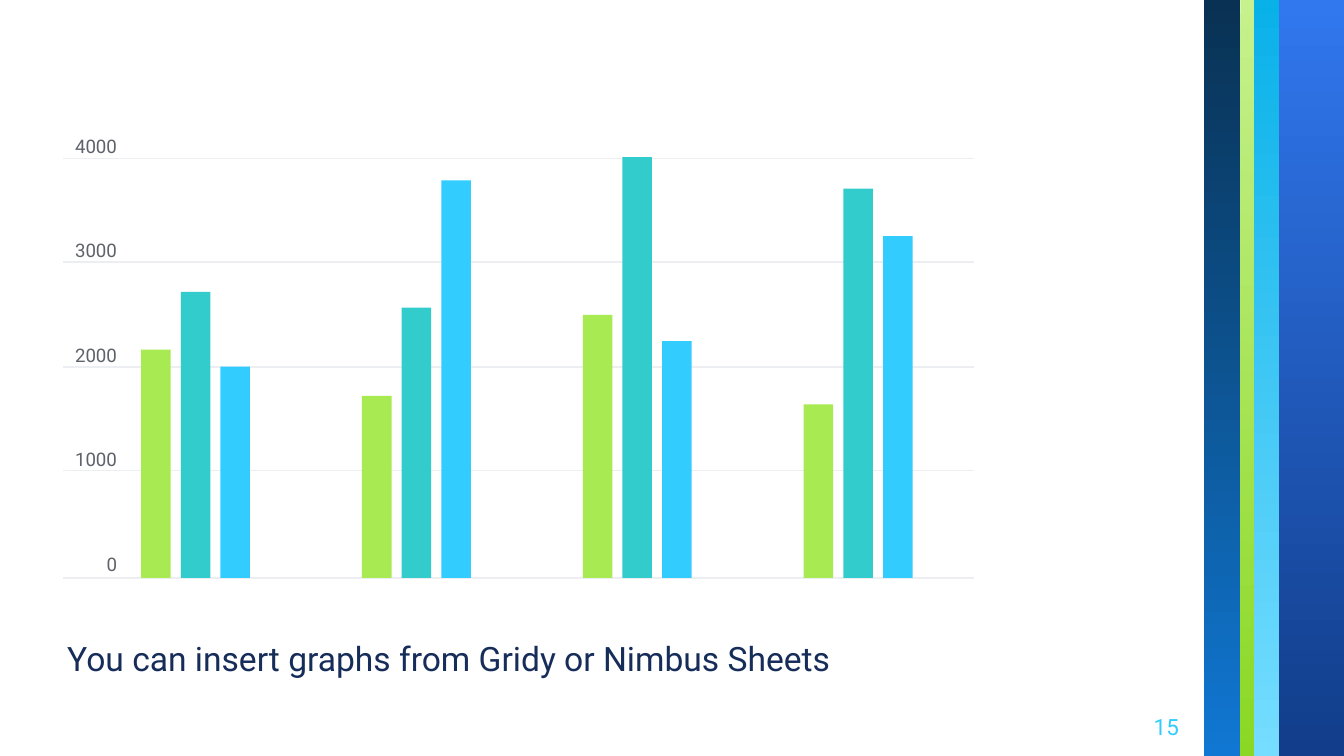
from lxml import etree
from pptx import Presentation
from pptx.dml.color import RGBColor
from pptx.enum.shapes import MSO_CONNECTOR, MSO_SHAPE
from pptx.enum.text import MSO_ANCHOR, PP_ALIGN
from pptx.oxml.ns import qn
from pptx.util import Inches, Pt

RECTANGLE = MSO_SHAPE.RECTANGLE
STRAIGHT = MSO_CONNECTOR.STRAIGHT
LEFT, RIGHT = PP_ALIGN.LEFT, PP_ALIGN.RIGHT
TOP, MIDDLE = MSO_ANCHOR.TOP, MSO_ANCHOR.MIDDLE

FONT = "Roboto"
SLIDE_WIDTH = 10
SLIDE_HEIGHT = SLIDE_WIDTH * 9 / 16
STRIPES = [
    (9.51, 0.49, "3177EE", "113D8A"),
    (9.32, 0.2, "09B1E9", "75DDFF"),
    (9.23, 0.1, "C6F18D", "8AD824"),
    (8.96, 0.27, "093153", "1077D2"),
]
GRID_TOPS = [1.18, 1.95, 2.73, 3.5, 4.3]
AXIS_LABELS = ["4000", "3000", "2000", "1000", "0"]
SERIES_COLORS = ["A7EA52", "33CCCC", "33CCFF"]
GROUPS = [
    (2170, 2720, 2010),
    (1730, 2570, 3780),
    (2500, 4000, 2250),
    (1650, 3700, 3250),
]
BASELINE, AXIS_HEIGHT, AXIS_MAXIMUM = 4.3, 3.13, 4000
FIRST_BAR, BAR_WIDTH = 1.05, 0.22
GROUP_STEP = (5.98 - FIRST_BAR) / 3
BAR_STEP = (1.64 - FIRST_BAR) / 2


def color(value):
    """Turn a hex string into a colour."""
    return RGBColor.from_string(value)


def place(shape, left, top, width, height):
    """Move and size a shape, in inches."""
    shape.left, shape.top = Inches(left), Inches(top)
    shape.width, shape.height = Inches(width), Inches(height)


def set_text(box, text, size, text_color, align=LEFT, anchor=TOP, inset=0.1):
    """Write and format the text of a box."""
    frame = box.text_frame
    frame.text = text
    frame.word_wrap = True
    frame.vertical_anchor = anchor
    frame.margin_left = frame.margin_right = Inches(inset)
    frame.margin_top = frame.margin_bottom = Inches(inset)
    for para in frame.paragraphs:
        para.alignment = align
        for span in para.runs:
            span.font.name = FONT
            span.font.size = Pt(size)
            span.font.color.rgb = color(text_color)
    return frame.paragraphs


def add_rectangle(slide, left, top, width, height):
    """Add a rectangle without outline or shadow."""
    box = slide.shapes.add_shape(
        RECTANGLE, Inches(left), Inches(top), Inches(width), Inches(height))
    box.shadow.inherit = False
    box.line.fill.background()
    return box


def add_stripe(slide, left, width, top_color, bottom_color):
    """Add a full-height stripe with a vertical gradient."""
    fill = add_rectangle(slide, left, 0, width, SLIDE_HEIGHT).fill
    fill.gradient()
    fill.gradient_angle = 270
    for stop, value in zip(fill.gradient_stops, (top_color, bottom_color)):
        stop.color.rgb = color(value)


def add_caption(slide, text):
    """Put the caption in the body placeholder, without a bullet."""
    body = slide.placeholders[1]
    place(body, 0.4, 4.65, 7.92, 0.57)
    para = set_text(body, text, 18, "162D5A")[0]
    para.space_before = Pt(3.6)
    properties = para._p.get_or_add_pPr()
    properties.set("marL", "0")
    properties.set("indent", "0")
    etree.SubElement(properties, qn("a:buNone"))


def add_text_box(slide, left, top, width, height):
    """Add an empty text box."""
    return slide.shapes.add_textbox(
        Inches(left), Inches(top), Inches(width), Inches(height))


def add_grid_line(slide, top):
    """Add a horizontal grid line."""
    line = slide.shapes.add_connector(
        STRAIGHT, Inches(0.47), Inches(top), Inches(7.25), Inches(top))
    line.line.color.rgb = color("EDEEF1")
    line.line.width = Pt(0.75)
    etree.SubElement(line._element.spPr, qn("a:effectLst"))


def add_axis_labels(slide):
    """Add the value labels as evenly spaced paragraphs."""
    box = add_text_box(slide, 0.47, 1, 0.4, 3.31)
    paras = set_text(box, "\n".join(AXIS_LABELS), 10, "5E626B", RIGHT, inset=0)
    for para in paras[1:]:
        para.space_before = Pt(44)
    paras[-1].space_after = Pt(44)


def add_bars(slide):
    """Add the grouped bars, scaled to the axis."""
    for group, values in enumerate(GROUPS):
        for series, value in enumerate(values):
            left = FIRST_BAR + group * GROUP_STEP + series * BAR_STEP
            height = value / AXIS_MAXIMUM * AXIS_HEIGHT
            bar = add_rectangle(slide, left, BASELINE - height, BAR_WIDTH, height)
            bar.fill.solid()
            bar.fill.fore_color.rgb = color(SERIES_COLORS[series])


def main():
    """Build the bar graph slide."""
    deck = Presentation()
    deck.slide_width = Inches(SLIDE_WIDTH)
    deck.slide_height = Inches(SLIDE_HEIGHT)
    slide = deck.slides.add_slide(deck.slide_layouts[1])
    title = slide.shapes.title._element
    title.getparent().remove(title)
    for stripe in STRIPES:
        add_stripe(slide, *stripe)
    add_caption(slide, "You can insert graphs from Gridy or Nimbus Sheets")
    page_number = add_text_box(slide, 8.27, 5.19, 0.6, 0.43)
    set_text(page_number, "15", 12, "33CCFF", RIGHT, MIDDLE)
    for top in GRID_TOPS:
        add_grid_line(slide, top)
    add_axis_labels(slide)
    add_bars(slide)
    deck.save("out.pptx")


if __name__ == "__main__":
    main()
